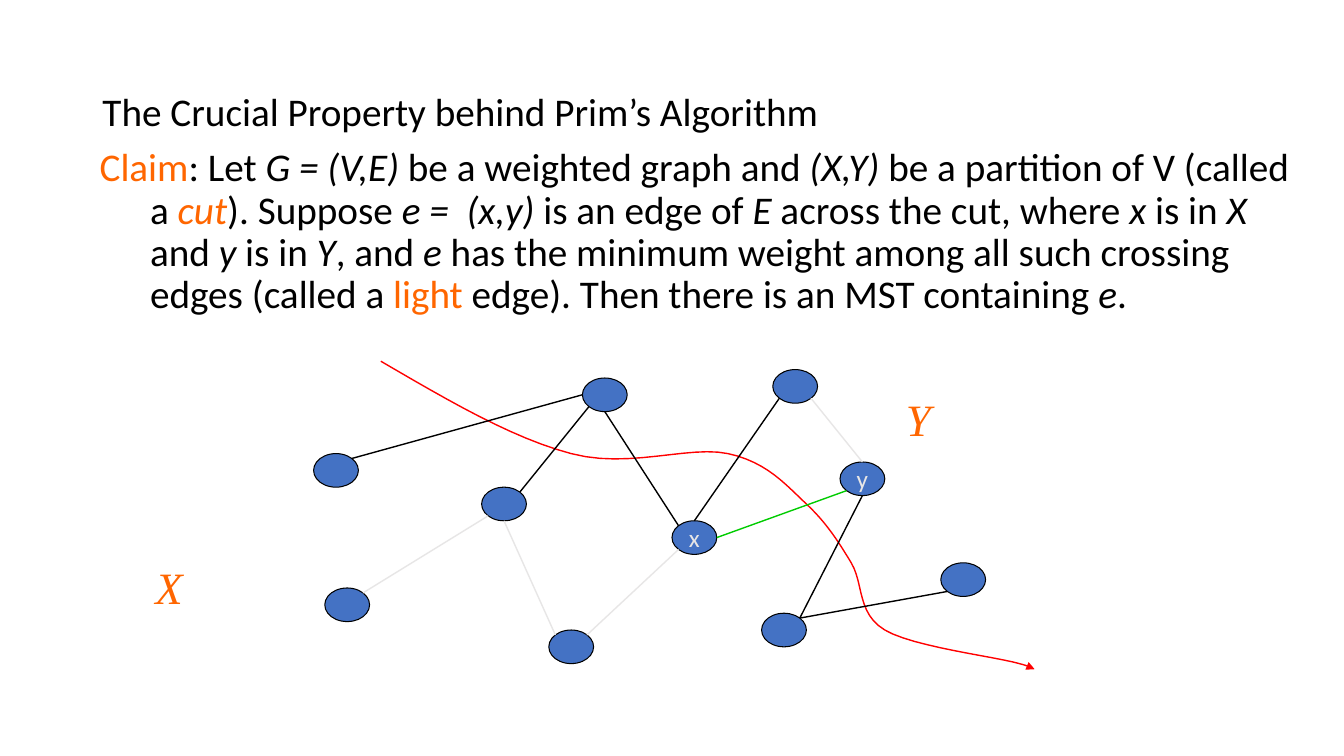
from math import cos, radians, sin

from lxml import etree
from pptx import Presentation
from pptx.dml.color import RGBColor
from pptx.enum.shapes import MSO_CONNECTOR, MSO_SHAPE
from pptx.enum.text import MSO_ANCHOR, MSO_AUTO_SIZE, PP_ALIGN
from pptx.oxml.ns import qn
from pptx.util import Pt

OVAL, STRAIGHT = MSO_SHAPE.OVAL, MSO_CONNECTOR.STRAIGHT
MIDDLE, TOP = MSO_ANCHOR.MIDDLE, MSO_ANCHOR.TOP
LEFT, CENTER = PP_ALIGN.LEFT, PP_ALIGN.CENTER
NO_FIT = MSO_AUTO_SIZE.NONE

BLACK = RGBColor(0x00, 0x00, 0x00)
ORANGE = RGBColor(0xFF, 0x66, 0x00)
BLUE = RGBColor(0x44, 0x72, 0xC4)
PALE = RGBColor(0xE7, 0xE6, 0xE6)
GREEN = RGBColor(0x00, 0xCC, 0x00)
RED = RGBColor(0xFF, 0x00, 0x00)

NODE_WIDTH, NODE_HEIGHT = 32, 24


def style(para, size, color, name="Calibri", italic=None):
    para.font.size = Pt(size)
    para.font.color.rgb = color
    para.font.name = name
    para.font.italic = italic


def site(node, angle):
    """Point on a node's rim, with the angle clockwise from the right."""
    left, top = NODES[node]
    x = left + NODE_WIDTH / 2 * (1 + cos(radians(angle)))
    y = top + NODE_HEIGHT / 2 * (1 + sin(radians(angle)))
    return Pt(x), Pt(y)


deck = Presentation()
deck.slide_width, deck.slide_height = Pt(960), Pt(540)
page = deck.slides.add_slide(deck.slide_layouts[1])

# Title
title = page.shapes.title
title.left, title.top, title.width, title.height = Pt(66), Pt(29), Pt(828), Pt(104)
title.text_frame.text = "The Crucial Property behind Prim’s Algorithm"
title.text_frame.vertical_anchor = MIDDLE
title.text_frame.auto_size = NO_FIT
para = title.text_frame.paragraphs[0]
para.alignment = LEFT
para.line_spacing = 0.9
style(para, 28, BLACK)

# Claim: (text, italic, highlighted)
CLAIM = [
    ("Claim", False, True), (": Let ", False, False),
    ("G = (V,E)", True, False), (" be a weighted graph and ", False, False),
    ("(X,Y)", True, False), (" be a partition of V (called a ", False, False),
    ("cut", True, True), ("). Suppose ", False, False),
    ("e =  (x,y)", True, False), (" is an edge of ", False, False),
    ("E", True, False), (" across the cut, where ", False, False),
    ("x", True, False), (" is in ", False, False),
    ("X", True, False), (" and ", False, False),
    ("y", True, False), (" is in ", False, False),
    ("Y", True, False), (", and ", False, False),
    ("e", True, False),
    (" has the minimum weight among all such crossing edges (called a ", False, False),
    ("light", False, True), (" edge). Then there is an MST containing ", False, False),
    ("e", True, False), (".", False, False),
]
body = page.placeholders[1]
body.left, body.top, body.width, body.height = Pt(64), Pt(102), Pt(864), Pt(410)
body.text_frame.vertical_anchor = TOP
body.text_frame.auto_size = NO_FIT
para = body.text_frame.paragraphs[0]
props = para._p.get_or_add_pPr()
props.set("marL", str(Pt(36)))
props.set("indent", str(Pt(-36)))
etree.SubElement(props, qn("a:buNone"))
para.line_spacing = 0.9
para.space_before = Pt(0)
style(para, 28, BLACK)
for text, italic, highlighted in CLAIM:
    span = para.add_run()
    span.text = text
    span.font.italic = italic
    span.font.color.rgb = ORANGE if highlighted else BLACK

# Graph nodes
NODES = {
    "mid": (344, 348), "lower": (544, 438), "southwest": (232, 420),
    "west": (224, 324), "y": (600, 330), "south": (392, 450),
    "x": (480, 372), "north": (416, 270), "northeast": (552, 264),
    "east": (672, 402),
}
for name, (left, top) in NODES.items():
    node = page.shapes.add_shape(OVAL, Pt(left), Pt(top), Pt(NODE_WIDTH), Pt(NODE_HEIGHT))
    node.shadow.inherit = False
    node.fill.solid()
    node.fill.fore_color.rgb = BLUE
    node.line.color.rgb = BLACK
    node.line.width = Pt(0.75)
    if name in ("x", "y"):
        frame = node.text_frame
        frame.text = name
        frame.word_wrap = False
        frame.vertical_anchor = MIDDLE
        frame.paragraphs[0].alignment = CENTER
        style(frame.paragraphs[0], 18, PALE)

# Cut curve: cubic pieces as two control points and an end point
CUT_START = (272, 258)
CUT_PIECES = [
    ((320, 286), (366, 313), (408, 324)),
    ((449, 335), (492, 318), (520, 324)),
    ((548, 330), (562, 347), (576, 360)),
    ((590, 373), (599, 387), (608, 402)),
    ((617, 417), (612, 438), (632, 450)),
    ((652, 462), (711, 469), (728, 474)),
    ((732, 475), (735, 476), (739, 478)),
]
STEPS = 12
points = []
start = CUT_START
for first, second, end in CUT_PIECES:
    for step in range(1, STEPS + 1):
        t = step / STEPS
        points.append([
            Pt((1 - t) ** 3 * a + 3 * (1 - t) ** 2 * t * b + 3 * (1 - t) * t ** 2 * c + t ** 3 * d)
            for a, b, c, d in zip(start, first, second, end)
        ])
    start = end
outline = page.shapes.build_freeform(Pt(CUT_START[0]), Pt(CUT_START[1]))
outline.add_line_segments(points, close=False)
cut = outline.convert_to_shape()
cut.shadow.inherit = False
cut.fill.background()
cut.line.color.rgb = RED
cut.line.width = Pt(1)
etree.SubElement(cut.line._get_or_add_ln(), qn("a:tailEnd"), type="triangle")

# Graph edges: node and rim angle at both ends
EDGES = [
    ("north", 135, "mid", 315, BLACK), ("north", 90, "x", 225, BLACK),
    ("northeast", 135, "x", 270, BLACK), ("y", 135, "x", 0, GREEN),
    ("y", 90, "lower", 315, BLACK), ("east", 135, "lower", 315, BLACK),
    ("west", 315, "north", 180, BLACK), ("mid", 135, "southwest", 315, PALE),
    ("mid", 90, "south", 225, PALE), ("northeast", 45, "y", 270, PALE),
    ("x", 135, "south", 315, PALE),
]
for source, source_angle, target, target_angle, color in EDGES:
    edge = page.shapes.add_connector(
        STRAIGHT, *site(source, source_angle), *site(target, target_angle))
    edge.line.color.rgb = color
    edge.line.width = Pt(1)
    etree.SubElement(edge._element.spPr, qn("a:effectLst"))

# Names of the two sides
for text, left, top, width in (("X", 104, 396, 88), ("Y", 640, 276, 112)):
    box = page.shapes.add_textbox(Pt(left), Pt(top), Pt(width), Pt(45))
    box.text_frame.word_wrap = True
    box.text_frame.text = text
    style(box.text_frame.paragraphs[0], 32, ORANGE, "Times New Roman", True)

deck.save("out.pptx")
